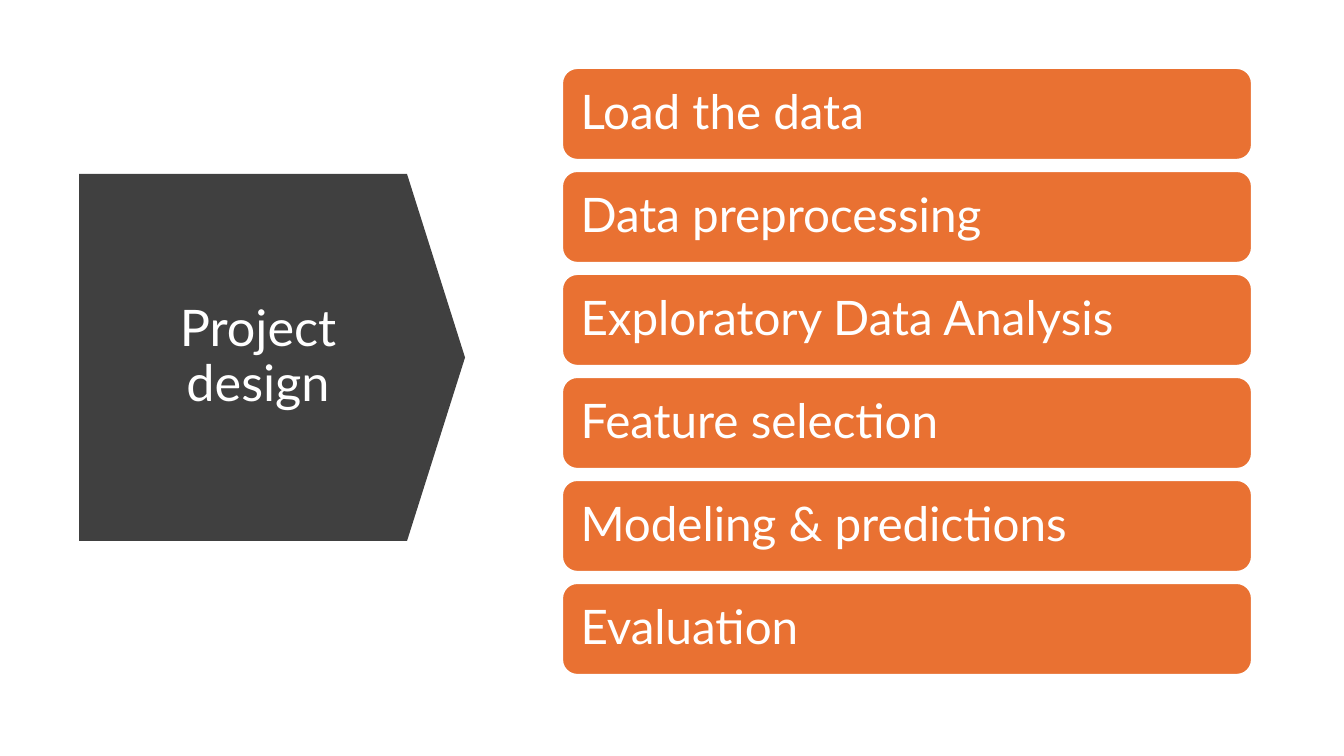
from pptx import Presentation
from pptx.dml.color import RGBColor
from pptx.enum.shapes import MSO_SHAPE as Shape
from pptx.enum.text import MSO_ANCHOR as Anchor, PP_ALIGN as Align
from pptx.util import Emu, Pt

EMU_PER_PX = 914400 / 100.8
FONT = "Lato"
WHITE = RGBColor(0xFF, 0xFF, 0xFF)
CHARCOAL = RGBColor(0x40, 0x40, 0x40)
ORANGE = RGBColor(0xE9, 0x71, 0x32)

STEPS = [
    "Load the data",
    "Data preprocessing",
    "Exploratory Data Analysis",
    "Feature selection",
    "Modeling & predictions",
    "Evaluation",
]


def px(value):
    return Emu(round(value * EMU_PER_PX))


def add_block(slide, kind, box, fill, text, size, align, insets):
    """Add a filled shape with one line of white text; insets are left, top, right, bottom."""
    shape = slide.shapes.add_shape(kind, *map(px, box))
    shape.shadow.inherit = False
    shape.fill.solid()
    shape.fill.fore_color.rgb = fill
    shape.line.fill.background()

    frame = shape.text_frame
    frame.word_wrap = True
    frame.vertical_anchor = Anchor.MIDDLE
    (frame.margin_left, frame.margin_top,
     frame.margin_right, frame.margin_bottom) = map(px, insets)
    frame.text = text
    paragraph = frame.paragraphs[0]
    paragraph.alignment = align
    paragraph.line_spacing = 0.9
    font = paragraph.runs[0].font
    font.name = FONT
    font.size = Pt(size)
    font.color.rgb = WHITE
    return shape


def add_title_arrow(slide, left, top, width, height):
    arrow = add_block(slide, Shape.PENTAGON, (left, top, width, height), CHARCOAL,
                      "Project design", 36, Align.CENTER, (44, 5, 43, 5))
    arrow.adjustments[0] = 0.158


def add_step_list(slide, left, top, width, height, gap=11):
    row_height = (height - gap * (len(STEPS) - 1)) // len(STEPS)
    for index, step in enumerate(STEPS):
        row_top = top + index * (row_height + gap)
        row = add_block(slide, Shape.ROUNDED_RECTANGLE,
                        (left, row_top, width, row_height), ORANGE,
                        step, 34, Align.LEFT, (14, 14, 14, 14))
        row.line.color.rgb = WHITE
        row.line.width = Pt(1.5)
        row.text_frame.paragraphs[0].space_after = Pt(12)


def main():
    presentation = Presentation()
    presentation.slide_width = px(1344)
    presentation.slide_height = px(756)
    slide = presentation.slides.add_slide(presentation.slide_layouts[6])
    add_title_arrow(slide, 79, 174, 386, 367)
    add_step_list(slide, 562, 68, 690, 607)
    presentation.save("out.pptx")


if __name__ == "__main__":
    main()
